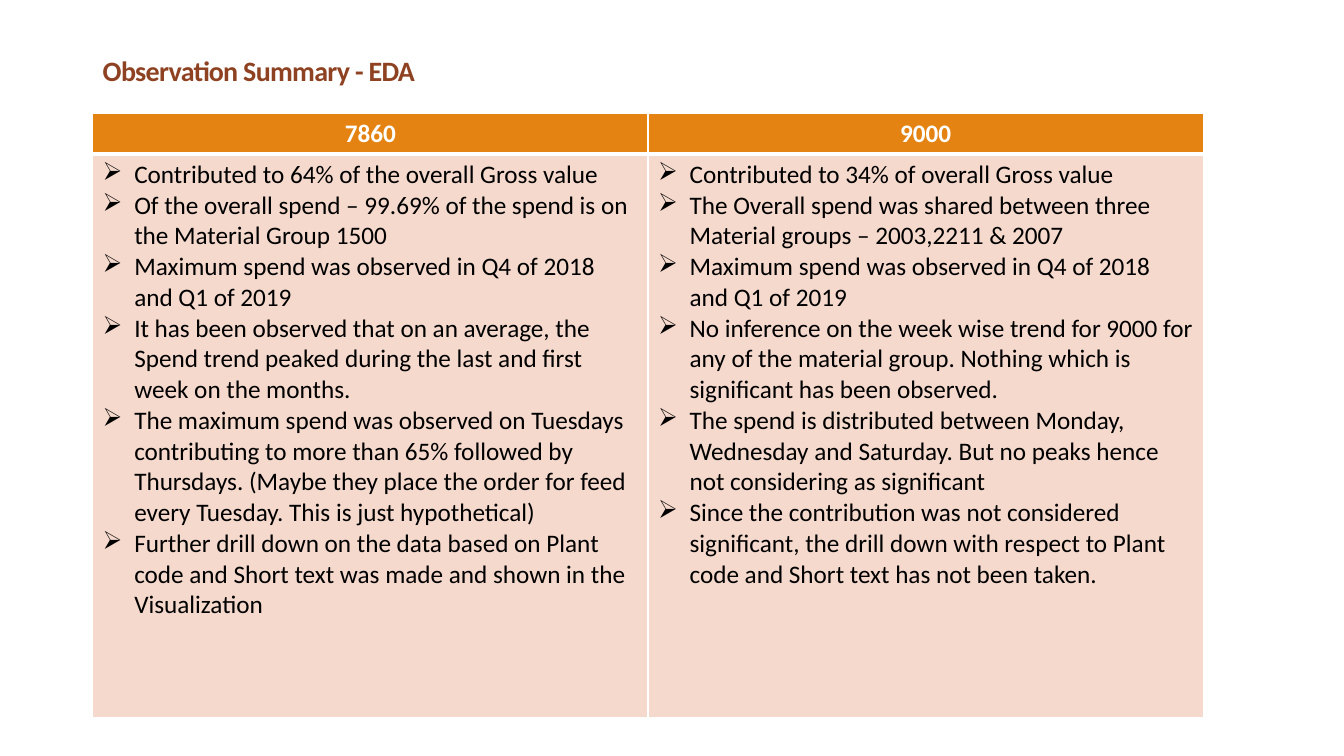
from dataclasses import dataclass

from lxml import etree
from pptx import Presentation
from pptx import util as u
from pptx.dml import color
from pptx.enum import text
from pptx.oxml import ns


@dataclass(frozen=True)
class Theme:
    font: str = "Calibri"
    title_size: float = 20
    table_size: float = 18
    title: str = "8E4221"
    header_fill: str = "E48312"
    body_fill: str = "F5D9CC"
    light: str = "FFFFFF"
    dark: str = "000000"


@dataclass(frozen=True)
class Box:
    left: float
    top: float
    width: float
    height: float

    def lengths(self):
        return [u.Pt(n) for n in (self.left, self.top, self.width, self.height)]


THEME = Theme()
HEADER_HEIGHT = 28.8
BULLET_INDENT = 22.5
THIN_LINE, HEADER_LINE = 1, 3

PLANTS = {
    "7860": [
        "Contributed to 64% of the overall Gross value",
        "Of the overall spend – 99.69% of the spend is on the Material Group 1500",
        "Maximum spend was observed in Q4 of 2018 and Q1 of 2019",
        "It has been observed that on an average, the Spend trend peaked during "
        "the last and first week on the months.",
        "The maximum spend was observed on Tuesdays contributing to more than 65% "
        "followed by Thursdays. (Maybe they place the order for feed every Tuesday. "
        "This is just hypothetical)",
        "Further drill down on the data based on Plant code and Short text was made "
        "and shown in the Visualization",
    ],
    "9000": [
        "Contributed to 34% of overall Gross value",
        "The Overall spend was shared between three Material groups – 2003,2211 & 2007",
        "Maximum spend was observed in Q4 of 2018 and Q1 of 2019",
        "No inference on the week wise trend for 9000 for any of the material group. "
        "Nothing which is significant has been observed.",
        "The spend is distributed between Monday, Wednesday and Saturday. "
        "But no peaks hence not considering as significant",
        "Since the contribution was not considered significant, the drill down with "
        "respect to Plant code and Short text has not been taken.",
    ],
}


def add_child(parent, tag, **attributes):
    return etree.SubElement(parent, ns.qn(tag), **attributes)


def write_text(paragraph, words, *, size, ink, bold=False, align=text.PP_ALIGN.LEFT,
               line_spacing=None, tracking=None, bullet=None):
    paragraph.alignment = align
    if line_spacing:
        paragraph.line_spacing = line_spacing
    run = paragraph.add_run()
    run.text = words
    run.font.name = THEME.font
    run.font.size = u.Pt(size)
    run.font.bold = bold
    run.font.color.rgb = color.RGBColor.from_string(ink)
    if tracking:
        run.font._element.set("spc", str(round(tracking * 100)))
    if bullet:
        properties = paragraph._p.get_or_add_pPr()
        properties.set("marL", str(u.Pt(BULLET_INDENT)))
        properties.set("indent", str(-u.Pt(BULLET_INDENT)))
        add_child(properties, "a:buChar", char=bullet)


def style_cell(cell, fill, top=THIN_LINE, bottom=THIN_LINE):
    properties = cell._tc.get_or_add_tcPr()
    edges = {"a:lnL": THIN_LINE, "a:lnR": THIN_LINE, "a:lnT": top, "a:lnB": bottom}
    for tag, width in edges.items():
        line = add_child(properties, tag, w=str(u.Pt(width)))
        add_child(add_child(line, "a:solidFill"), "a:srgbClr", val=THEME.light)
    cell.fill.solid()
    cell.fill.fore_color.rgb = color.RGBColor.from_string(fill)


def place_title(slide, box, words):
    title = slide.shapes.title
    title.left, title.top, title.width, title.height = box.lengths()
    title.text_frame.vertical_anchor = text.MSO_ANCHOR.BOTTOM
    write_text(title.text_frame.paragraphs[0], words, size=THEME.title_size,
               ink=THEME.title, bold=True, line_spacing=0.85, tracking=-0.5)


def place_comparison(slide, box, plants):
    table = slide.shapes.add_table(2, len(plants), *box.lengths()).table
    table.rows[0].height = u.Pt(HEADER_HEIGHT)
    table.rows[1].height = u.Pt(box.height - HEADER_HEIGHT)
    for column, (plant, findings) in enumerate(plants.items()):
        table.columns[column].width = u.Pt(box.width / len(plants))
        header, body = table.cell(0, column), table.cell(1, column)
        style_cell(header, THEME.header_fill, bottom=HEADER_LINE)
        style_cell(body, THEME.body_fill, top=HEADER_LINE)
        write_text(header.text_frame.paragraphs[0], plant, size=THEME.table_size,
                   ink=THEME.light, bold=True, align=text.PP_ALIGN.CENTER)
        for index, finding in enumerate(findings):
            frame = body.text_frame
            paragraph = frame.add_paragraph() if index else frame.paragraphs[0]
            write_text(paragraph, finding, size=THEME.table_size, ink=THEME.dark,
                       bullet="➢")


def main():
    presentation = Presentation()
    presentation.slide_width, presentation.slide_height = u.Pt(960), u.Pt(540)
    slide = presentation.slides.add_slide(presentation.slide_layouts[5])
    place_title(slide, Box(66.2, 12.2, 828, 54), "Observation Summary - EDA")
    place_comparison(slide, Box(66.2, 81, 793.4, 431), PLANTS)
    presentation.save("out.pptx")


if __name__ == "__main__":
    main()
